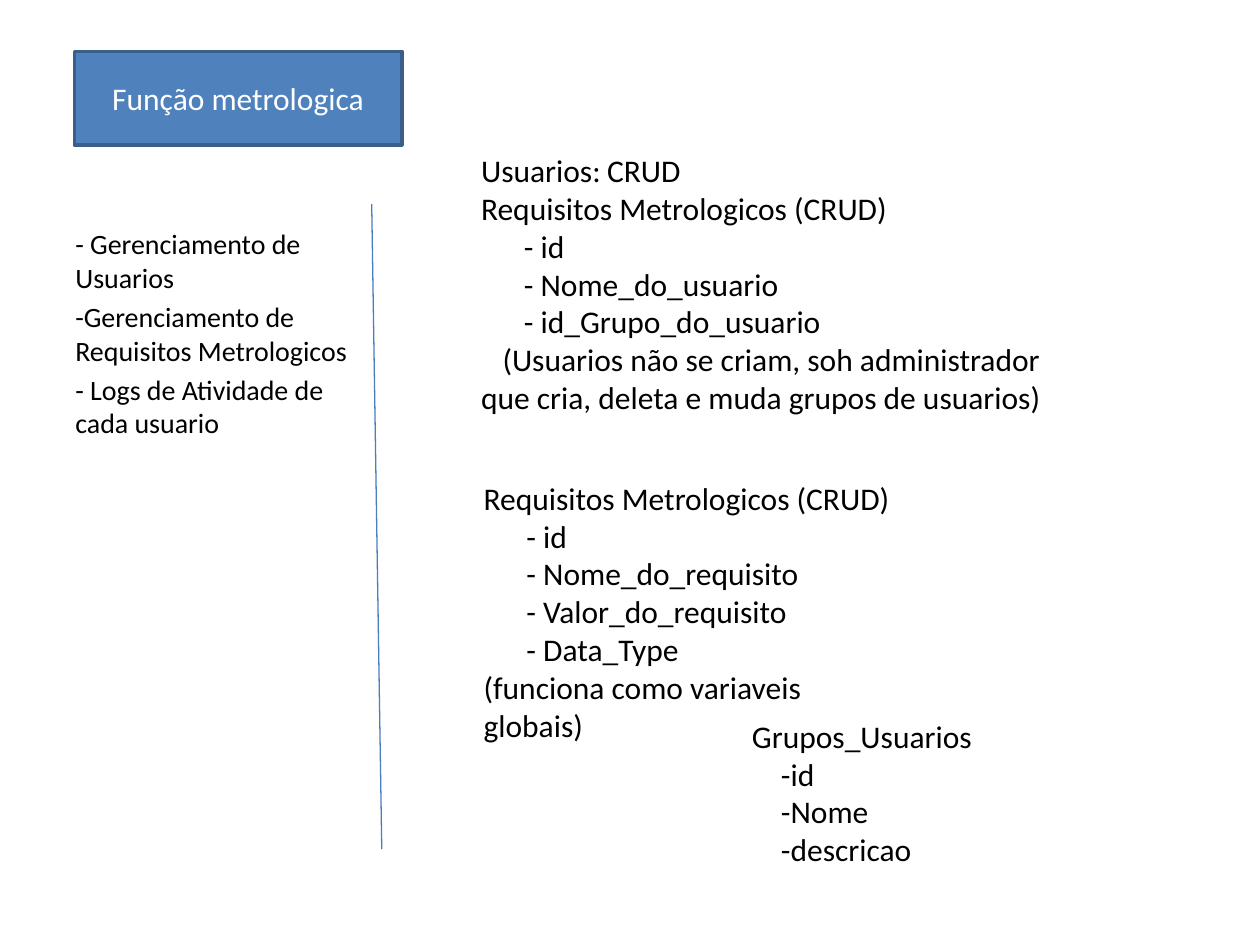
from lxml import etree
from pptx import Presentation
from pptx.dml.color import RGBColor
from pptx.enum.shapes import MSO_CONNECTOR, MSO_SHAPE
from pptx.enum.text import MSO_ANCHOR, MSO_AUTO_SIZE, PP_ALIGN
from pptx.oxml.ns import qn
from pptx.util import Inches, Pt

STRAIGHT = MSO_CONNECTOR.STRAIGHT
RECTANGLE = MSO_SHAPE.RECTANGLE
MIDDLE = MSO_ANCHOR.MIDDLE
CENTER = PP_ALIGN.CENTER
FIT_SHAPE = MSO_AUTO_SIZE.SHAPE_TO_FIT_TEXT
NO_FIT = MSO_AUTO_SIZE.NONE

FONT = "Calibri"
COLORS = {
    "text": "000000",
    "title": "FFFFFF",
    "title_fill": "4F81BD",
    "title_line": "3A5F8C",
    "divider": "4B7EBC",
}

TITLE = {"text": "Função metrologica", "at": (0.59, 0.41, 2.6, 0.74)}
DIVIDER = (2.95, 1.62, 3.03, 6.74)

# Each line: text, left margin, first-line indent (inches)
FIELD = (0.34, 0)
GROUP_FIELD = (0.23, 0)
NOTE = (0, 0.17)
FLUSH = (0, 0)
TAB_STOP = 1.12

TEXT_BOXES = [
    {"at": (0.5, 1.75, 2.37, 4.95), "size": 16, "before": 3.2, "fit": NO_FIT, "lines": [
        ("- Gerenciamento de Usuarios", FLUSH),
        ("-Gerenciamento de Requisitos Metrologicos", FLUSH),
        ("- Logs de Atividade de cada usuario", FLUSH),
    ]},
    {"at": (3.72, 1.15, 5.04, 2.52), "size": 18, "before": 0, "fit": FIT_SHAPE, "lines": [
        ("Usuarios:\tCRUD", FLUSH),
        ("Requisitos Metrologicos (CRUD)", FLUSH),
        ("- id", FIELD),
        ("- Nome_do_usuario", FIELD),
        ("- id_Grupo_do_usuario", FIELD),
        ("(Usuarios não se criam, soh administrador que cria, deleta e muda "
         "grupos de usuarios)", NOTE),
    ]},
    {"at": (3.74, 3.75, 3.46, 2.22), "size": 18, "before": 0, "fit": FIT_SHAPE, "lines": [
        ("Requisitos Metrologicos (CRUD)", FLUSH),
        ("- id", FIELD),
        ("- Nome_do_requisito", FIELD),
        ("- Valor_do_requisito", FIELD),
        ("- Data_Type", FIELD),
        ("(funciona como variaveis globais)", FLUSH),
    ]},
    {"at": (5.87, 5.64, 3.54, 1.31), "size": 18, "before": 0, "fit": FIT_SHAPE, "lines": [
        ("Grupos_Usuarios", FLUSH),
        ("-id", GROUP_FIELD),
        ("-Nome", GROUP_FIELD),
        ("-descricao", GROUP_FIELD),
    ]},
]


def color(name):
    return RGBColor.from_string(COLORS[name])


def write(para, text, size, color_name):
    span = para.add_run()
    span.text = text
    for name, value in {"name": FONT, "size": Pt(size)}.items():
        setattr(span.font, name, value)
    span.font.color.rgb = color(color_name)


def set_indent(para, margin, first_line):
    properties = para._p.get_or_add_pPr()
    properties.set("marL", str(Inches(margin)))
    properties.set("indent", str(Inches(first_line)))


def add_tab_stop(para, position):
    tabs = etree.SubElement(para._p.get_or_add_pPr(), qn("a:tabLst"))
    etree.SubElement(tabs, qn("a:tab"), pos=str(Inches(position)), algn="l")


def add_title(page):
    box = page.shapes.add_shape(RECTANGLE, *map(Inches, TITLE["at"]))
    box.shadow.inherit = False
    box.fill.solid()
    box.fill.fore_color.rgb = color("title_fill")
    box.line.color.rgb = color("title_line")
    box.line.width = Pt(2)
    box.text_frame.vertical_anchor = MIDDLE
    para = box.text_frame.paragraphs[0]
    para.alignment = CENTER
    write(para, TITLE["text"], 18, "title")


def add_divider(page):
    line = page.shapes.add_connector(STRAIGHT, *map(Inches, DIVIDER))
    line.line.color.rgb = color("divider")
    line.line.width = Pt(0.75)
    etree.SubElement(line._element.spPr, qn("a:effectLst"))


def add_text_box(page, content):
    box = page.shapes.add_textbox(*map(Inches, content["at"]))
    frame = box.text_frame
    frame.word_wrap = True
    frame.auto_size = content["fit"]
    for index, (text, indent) in enumerate(content["lines"]):
        para = frame.add_paragraph() if index else frame.paragraphs[0]
        para.space_before = Pt(content["before"])
        set_indent(para, *indent)
        if "\t" in text:
            add_tab_stop(para, TAB_STOP)
        write(para, text, content["size"], "text")


def main():
    deck = Presentation()
    deck.slide_width, deck.slide_height = Inches(10), Inches(7.5)
    page = deck.slides.add_slide(deck.slide_layouts[6])
    add_title(page)
    add_divider(page)
    for content in TEXT_BOXES:
        add_text_box(page, content)
    deck.save("out.pptx")


if __name__ == "__main__":
    main()
